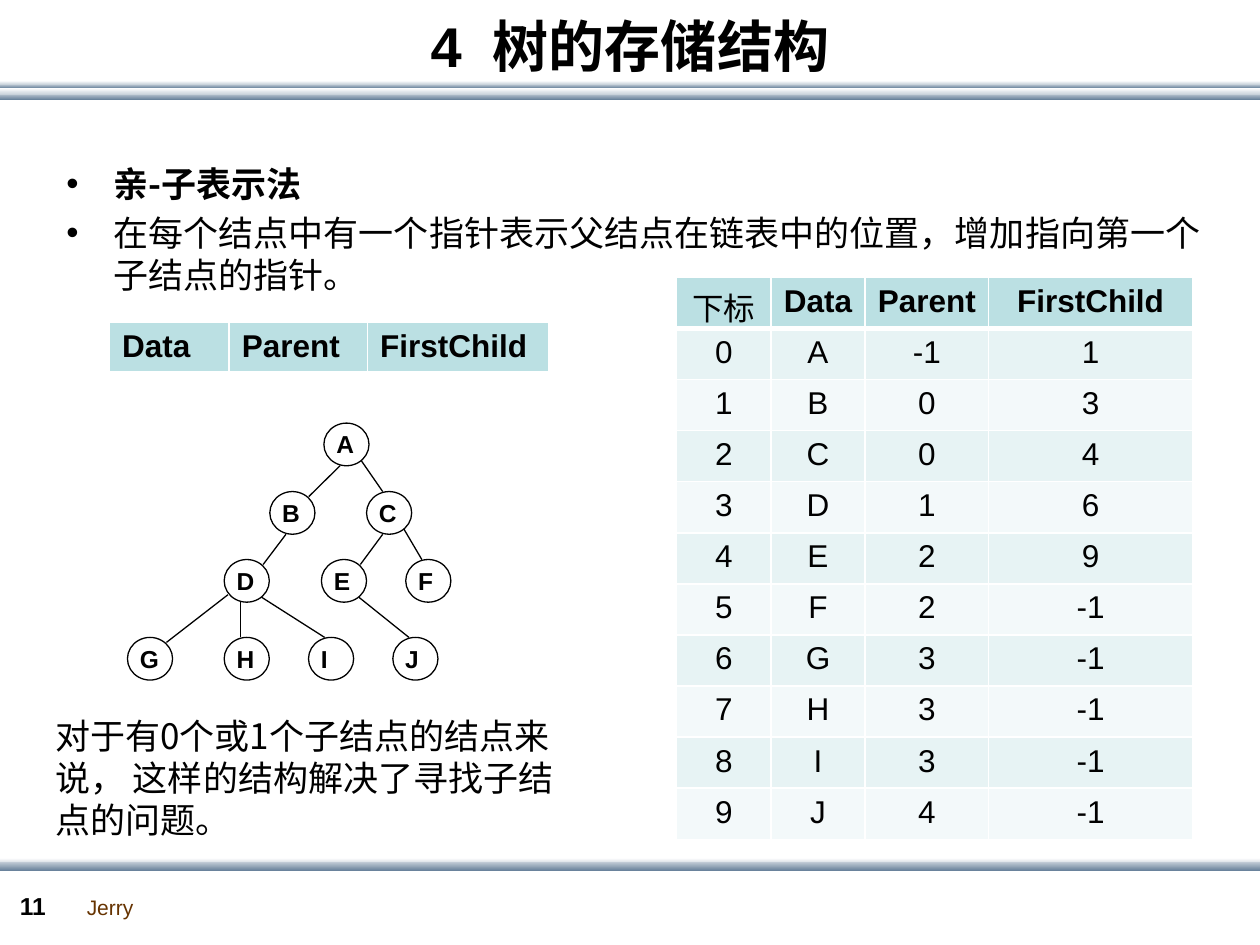
from pptx import Presentation
from pptx.dml.color import RGBColor
from pptx.enum.shapes import MSO_CONNECTOR, MSO_SHAPE
from pptx.enum.text import MSO_ANCHOR, PP_ALIGN
from pptx.oxml.ns import qn
from pptx.util import Cm, Pt
from lxml.etree import SubElement

THEME = {
    "ink": "000000", "footer": "663300", "white": "FFFFFF",
    "pale": "C8D1DA", "steel": "6A839C",
    "header": "BBE0E3", "bands": ("E7F3F4", "F3F9FA"),
    "latin": "Arial", "cjk": "Noto Sans CJK SC",
    "title": 32, "body": 20, "table": 18, "label": 14, "small": 12, "leading": 24,
}

TITLE = "4  树的存储结构"
METHOD = "亲-子表示法"
EXPLANATION = "在每个结点中有一个指针表示父结点在链表中的位置，增加指向第一个子结点的指针。"
CONCLUSION = "对于有0个或1个子结点的结点来说， 这样的结构解决了寻找子结点的问题。"
AUTHOR, PAGE = "Jerry", "11"

FIELDS = ["Data", "Parent", "FirstChild"]
RECORDS = [
    ("A", -1, 1), ("B", 0, 3), ("C", 0, 4), ("D", 1, 6), ("E", 2, 9),
    ("F", 2, -1), ("G", 3, -1), ("H", 3, -1), ("I", 3, -1), ("J", 4, -1),
]

NODE_LEFTS = {"A": 6.53, "B": 5.44, "C": 7.39, "D": 4.52, "E": 6.48,
              "F": 8.18, "G": 2.57, "H": 4.52, "I": 6.22, "J": 7.92}
LEVELS = {"A": 8.53, "BC": 9.91, "DEF": 11.28, "GHIJ": 12.85}
NODE_WIDTH, NODE_HEIGHT, LABEL_WIDTH = 0.91, 0.86, 0.66
BRANCHES = {
    "left": ((-0.13, 0.43), (0.33, -0.33)),
    "far left": ((-0.38, 0.28), (0.33, -0.33)),
    "down": ((-0.13, 0.43), (-0.13, -0.43)),
    "right": ((0.3, 0.33), (-0.13, -0.43)),
}
EDGES = [("AB", "left"), ("AC", "right"), ("BD", "left"), ("CE", "left"), ("CF", "right"),
         ("DG", "far left"), ("DH", "down"), ("DI", "right"), ("EJ", "right")]

RULES = [(1.88, 0.13, "pale", "steel"), (1.7, 0.08, "pale", "steel"),
         (1.78, 0.13, "white", "pale"), (1.63, 0.08, "white", "pale"),
         (17.3, 0.13, "white", "pale"), (17.37, 0.18, "pale", "steel")]


def color(name):
    """Return the theme colour, or the given hex value, as an RGBColor."""
    return RGBColor.from_string(THEME.get(name, name))


def write(frame, text, *, size="body", latin="latin", ink="ink", bold=False, align=PP_ALIGN.LEFT,
          leading=None, before=0, bullet=False, more=False):
    """Write one formatted paragraph into a text frame."""
    paragraph = frame.add_paragraph() if more else frame.paragraphs[0]
    paragraph.alignment = align
    paragraph.space_before = Pt(before)
    if leading:
        paragraph.line_spacing = Pt(THEME[leading])
    if bullet:
        properties = paragraph._p.get_or_add_pPr()
        properties.set("marL", str(Cm(0.95)))
        properties.set("indent", str(-Cm(0.95)))
        SubElement(properties, qn("a:buFont"), typeface=THEME["latin"])
        SubElement(properties, qn("a:buChar"), char="•")
    run = paragraph.add_run()
    run.text = text
    run.font.size, run.font.bold = Pt(THEME[size]), bold
    run.font.name, run.font.color.rgb = THEME[latin], color(ink)
    SubElement(run._r.get_or_add_rPr(), qn("a:ea"), typeface=THEME["cjk"])


def add_box(slide, left, top, width, height, wrap=True):
    """Add an empty text box and return its text frame."""
    frame = slide.shapes.add_textbox(Cm(left), Cm(top), Cm(width), Cm(height)).text_frame
    frame.word_wrap = wrap
    return frame


def add_rules(slide):
    """Draw the gradient bands under the title and above the footer."""
    for top, height, start, end in RULES:
        band = slide.shapes.add_shape(MSO_SHAPE.RECTANGLE, 0, Cm(top), Cm(25.43), Cm(height))
        band.shadow.inherit = False
        band.line.fill.background()
        band.fill.gradient()
        band.fill.gradient_angle = 270
        for stop, shade, position in zip(band.fill.gradient_stops, (start, end), (0, 1)):
            stop.color.rgb, stop.position = color(shade), position


def set_borders(cell, top, bottom):
    """Give a cell white borders with the stated top and bottom widths."""
    properties = cell._tc.get_or_add_tcPr()
    for index, (side, width) in enumerate(zip("LRTB", (1, 1, top, bottom))):
        border = SubElement(properties, qn("a:ln" + side), w=str(Pt(width)))
        SubElement(SubElement(border, qn("a:solidFill")), qn("a:srgbClr"), val=THEME["white"])
        properties.remove(border)
        properties.insert(index, border)


def add_grid(slide, rows, left, top, widths, row_height, align):
    """Add a table with a tinted header row and alternating body rows."""
    grid = slide.shapes.add_table(len(rows), len(widths), Cm(left), Cm(top),
                                  Cm(sum(widths)), Cm(row_height * len(rows))).table
    grid.first_row = grid.horz_banding = False
    for column, width in zip(grid.columns, widths):
        column.width = Cm(width)
    for row, values in enumerate(rows):
        for column, value in enumerate(values):
            cell = grid.cell(row, column)
            cell.fill.solid()
            cell.fill.fore_color.rgb = color(THEME["bands"][(row - 1) % 2] if row else "header")
            set_borders(cell, 3 if row == 1 else 1, 1 if row else 3)
            write(cell.text_frame, str(value), size="table", align=align,
                  latin="latin" if str(value).isascii() else "cjk",
                  bold=row == 0 and value in FIELDS)


def add_tree(slide):
    """Draw the tree nodes with their letters and the branches between them."""
    centers = {}
    for letters, top in LEVELS.items():
        for letter in letters:
            left = NODE_LEFTS[letter]
            centers[letter] = (left + NODE_WIDTH / 2, top + NODE_HEIGHT / 2)
            node = slide.shapes.add_shape(MSO_SHAPE.OVAL, Cm(left), Cm(top),
                                          Cm(NODE_WIDTH), Cm(NODE_HEIGHT))
            node.shadow.inherit = False
            node.fill.background()
            node.line.color.rgb, node.line.width = color("ink"), Pt(0.75)
            write(add_box(slide, left, top, LABEL_WIDTH, NODE_HEIGHT), letter,
                  size="label", bold=True)
    for (parent, child), direction in EDGES:
        (x1, y1), (x2, y2) = [
            [Cm(center + shift) for center, shift in zip(centers[letter], offset)]
            for letter, offset in zip((parent, child), BRANCHES[direction])]
        branch = slide.shapes.add_connector(MSO_CONNECTOR.STRAIGHT, x1, y1, x2, y2)
        branch.line.color.rgb, branch.line.width = color("ink"), Pt(0.75)
        SubElement(branch._element.spPr, qn("a:effectLst"))


def main():
    """Build the slide on parent-child storage of trees."""
    deck = Presentation()
    deck.slide_width, deck.slide_height = Cm(25.4), Cm(19.05)
    slide = deck.slides.add_slide(deck.slide_layouts[6])
    add_rules(slide)
    write(add_box(slide, 1.5, 17.91, 1.47, 0.76, wrap=False), AUTHOR, size="small", ink="footer")
    write(add_box(slide, 0.15, 17.83, 1.4, 0.84), PAGE, size="label", bold=True)

    heading = add_box(slide, 0, 0.08, 25.4, 1.65)
    heading.vertical_anchor = MSO_ANCHOR.MIDDLE
    write(heading, TITLE, size="title", bold=True, align=PP_ALIGN.CENTER)

    body = add_box(slide, 1.09, 3.15, 23.39, 3.1)
    prose = {"latin": "cjk", "leading": "leading", "before": 4}
    write(body, METHOD, bold=True, bullet=True, **prose)
    write(body, EXPLANATION, bullet=True, more=True, **prose)
    write(add_box(slide, 0.86, 14.27, 10.8, 3.45), CONCLUSION, **prose)

    add_grid(slide, [FIELDS], 2.21, 6.5, [2.41, 2.79, 3.66], 0.98, PP_ALIGN.LEFT)
    rows = [["下标", *FIELDS], *([index, *record] for index, record in enumerate(RECORDS))]
    add_grid(slide, rows, 13.64, 5.59, [1.9, 1.9, 2.49, 4.11], 1.03, PP_ALIGN.CENTER)
    add_tree(slide)
    deck.save("out.pptx")


if __name__ == "__main__":
    main()
